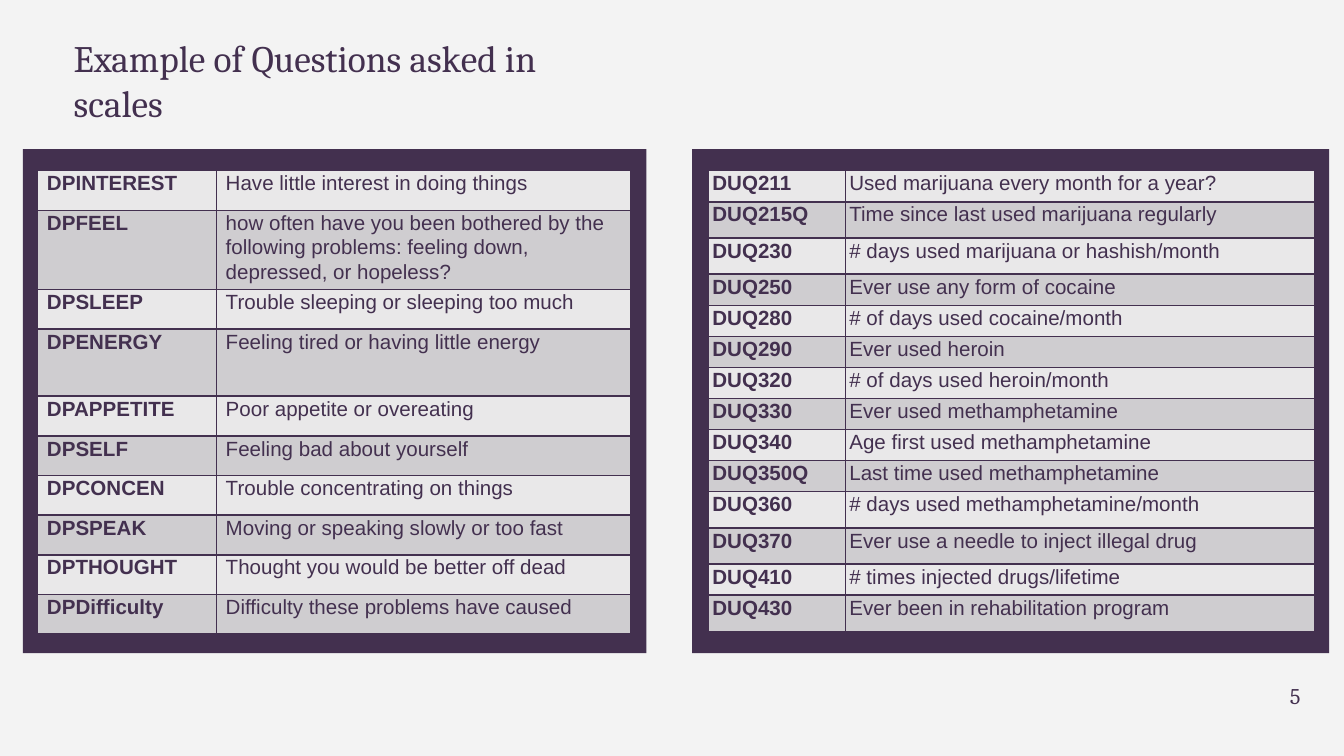
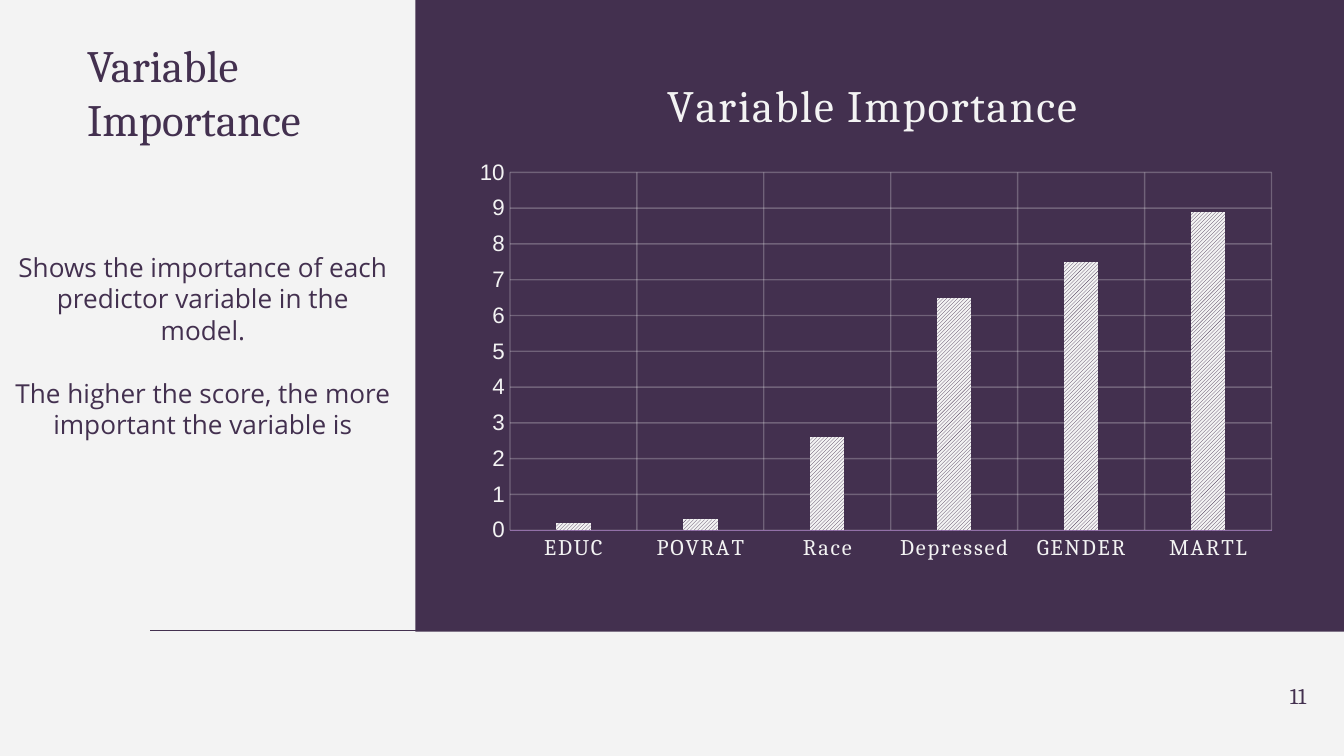
import pptx
import pptx.chart.data
import pptx.dml.color
import pptx.enum.chart
import pptx.enum.dml
import pptx.enum.shapes
import pptx.enum.text
import pptx.oxml
import pptx.oxml.ns
import pptx.util
from lxml import etree

Inches = pptx.util.Inches
Pt = pptx.util.Pt
qn = pptx.oxml.ns.qn

PLUM = "43304F"
PAPER = "F3F3F3"
AXIS_LINE = "9270A8"
ROW_FILLS = ("E9E8E9", "CFCDD0")
SERIF = "Cambria"
SANS = "Arial"
BODY = "Open Sans"

DEPRESSION_ITEMS = [
    ("DPINTEREST", "Have little interest in doing things"),
    ("DPFEEL", "how often have you been bothered by the following problems: "
               "feeling down, depressed, or hopeless?"),
    ("DPSLEEP", "Trouble sleeping or sleeping too much"),
    ("DPENERGY", "Feeling tired or having little energy"),
    ("DPAPPETITE", "Poor appetite or overeating"),
    ("DPSELF", "Feeling bad about yourself"),
    ("DPCONCEN", "Trouble concentrating on things"),
    ("DPSPEAK", "Moving or speaking slowly or too fast"),
    ("DPTHOUGHT", "Thought you would be better off dead"),
    ("DPDifficulty", "Difficulty these problems have caused"),
]
DRUG_ITEMS = [
    ("DUQ211", "Used marijuana every month for a year?"),
    ("DUQ215Q", "Time since last used marijuana regularly"),
    ("DUQ230", "# days used marijuana or hashish/month"),
    ("DUQ250", "Ever use any form of cocaine"),
    ("DUQ280", "# of days used cocaine/month"),
    ("DUQ290", "Ever used heroin"),
    ("DUQ320", "# of days used heroin/month"),
    ("DUQ330", "Ever used methamphetamine"),
    ("DUQ340", "Age first used methamphetamine"),
    ("DUQ350Q", "Last time used methamphetamine"),
    ("DUQ360", "# days used methamphetamine/month"),
    ("DUQ370", "Ever use a needle to inject illegal drug"),
    ("DUQ410", "# times injected drugs/lifetime"),
    ("DUQ430", "Ever been in rehabilitation program"),
]
IMPORTANCE = {"EDUC": 0.2, "POVRAT": 0.3, "Race": 2.6,
              "Depressed": 6.5, "GENDER": 7.5, "MARTL": 8.9}


def color(code):
    """Turn a hex string into a colour."""
    return pptx.dml.color.RGBColor.from_string(code)


def style_font(font, size, name, code, bold=False):
    """Set size, typeface, colour and weight of a font."""
    font.size, font.name, font.bold = Pt(size), name, bold
    font.color.rgb = color(code)


def write_text(frame, text, size=12, name=SERIF, code=PLUM, bold=False,
               align=None, spacing=None, gap=0):
    """Write one paragraph per line of text in a single format."""
    for index, line in enumerate(text.split("\n")):
        para = frame.add_paragraph() if index else frame.paragraphs[0]
        para.text = line
        para.alignment = align
        para.line_spacing = spacing
        if index:
            para.space_before = Pt(gap)
        for span in para.runs:
            style_font(span.font, size, name, code, bold)


def add_text(page, box, text, inset=0.1, **style):
    """Add a wrapping text box at (left, top, width, height)."""
    frame = page.shapes.add_textbox(*map(Inches, box)).text_frame
    frame.word_wrap = True
    frame.margin_left = frame.margin_right = Inches(0.1)
    frame.margin_top = frame.margin_bottom = Inches(inset)
    write_text(frame, text, **style)


def add_panel(page, box):
    """Add a plain dark rectangle."""
    panel = page.shapes.add_shape(
        pptx.enum.shapes.MSO_SHAPE.RECTANGLE, *map(Inches, box))
    panel.shadow.inherit = False
    panel.fill.solid()
    panel.fill.fore_color.rgb = color(PLUM)
    panel.line.fill.background()


def add_rule(page, left, right, top):
    """Add a thin horizontal line."""
    rule = page.shapes.add_connector(
        pptx.enum.shapes.MSO_CONNECTOR.STRAIGHT,
        Inches(left), Inches(top), Inches(right), Inches(top))
    rule.line.color.rgb = color(PLUM)
    rule.line.width = Pt(0.75)
    etree.SubElement(rule.element.spPr, qn("a:effectLst"))


def start_page(deck, title, box, size, number):
    """Add a page with its background, title and page number."""
    page = deck.slides.add_slide(deck.slide_layouts[6])
    page.background.fill.solid()
    page.background.fill.fore_color.rgb = color(PAPER)
    add_text(page, box, title, size=size)
    add_text(page, (9.5, 5.03, 0.37, 0.3), str(number), inset=0.05)
    return page


def border_cell(cell):
    """Draw a 1 pt line on all four sides of a cell."""
    properties = cell._tc.get_or_add_tcPr()
    for index, side in enumerate("LRTB"):
        line = etree.Element(qn("a:ln" + side), w=str(Pt(1)))
        fill = etree.SubElement(line, qn("a:solidFill"))
        etree.SubElement(fill, qn("a:srgbClr"), val=PLUM)
        properties.insert(index, line)


def add_items(page, box, items, widths, tall_rows, inset):
    """Add a table of codes and questions; rows not listed as tall share the rest."""
    table = page.shapes.add_table(len(items), 2, *map(Inches, box)).table
    table.first_row = table.horz_banding = False
    for column, width in zip(table.columns, widths):
        column.width = Inches(width)
    shared = (box[3] - sum(tall_rows.values())) / (len(items) - len(tall_rows))
    for row, item in enumerate(items):
        table.rows[row].height = Inches(tall_rows.get(row, shared))
        for column, text in enumerate(item):
            cell = table.cell(row, column)
            cell.margin_left = cell.margin_right = Inches(inset)
            cell.margin_top = cell.margin_bottom = 0
            cell.fill.solid()
            cell.fill.fore_color.rgb = color(ROW_FILLS[row % 2])
            border_cell(cell)
            write_text(cell.text_frame, text, size=11, name=SANS,
                       bold=column == 0, spacing=1.07)


def set_layout(parent, index, **places):
    """Give a chart part a manual layout in fractions of the chart."""
    for old in parent.findall(qn("c:layout")):
        parent.remove(old)
    layout = etree.Element(qn("c:layout"))
    manual = etree.SubElement(layout, qn("c:manualLayout"))
    if "w" in places:
        etree.SubElement(manual, qn("c:layoutTarget"), val="inner")
    for key in "xy":
        etree.SubElement(manual, qn(f"c:{key}Mode"), val="edge")
    for key, value in places.items():
        etree.SubElement(manual, qn("c:" + key), val=str(value))
    parent.insert(index, layout)


def style_axis(axis, font_name):
    """Give an axis light labels, faint gridlines and no tick marks."""
    axis.major_tick_mark = axis.minor_tick_mark = pptx.enum.chart.XL_TICK_MARK.NONE
    style_font(axis.tick_labels.font, 12, font_name, PAPER)
    axis.has_major_gridlines = True
    grid = axis.major_gridlines.format.line
    grid.width = Pt(0.75)
    grid.color.rgb = color(PAPER)


def fill_chart(chart):
    """Colour the chart area and its border."""
    area = pptx.oxml.parse_xml(
        f'<c:spPr {pptx.oxml.ns.nsdecls("c", "a")}>'
        f'<a:solidFill><a:srgbClr val="{PLUM}"/></a:solidFill>'
        f'<a:ln w="{Pt(0.75)}"><a:solidFill><a:srgbClr val="{PLUM}"/>'
        '</a:solidFill></a:ln></c:spPr>')
    chart.element.find(qn("c:txPr")).addprevious(area)


def add_importance_chart(page, box):
    """Add the column chart of variable importance."""
    data = pptx.chart.data.CategoryChartData()
    data.categories = list(IMPORTANCE)
    data.add_series("Series 1", list(IMPORTANCE.values()))
    chart = page.shapes.add_chart(
        pptx.enum.chart.XL_CHART_TYPE.COLUMN_CLUSTERED,
        *map(Inches, box), data).chart
    style_font(chart.font, 10, SANS, PLUM)
    fill_chart(chart)
    chart.has_legend = False
    chart.has_title = True
    write_text(chart.chart_title.text_frame, "Variable Importance",
               size=24, code=PAPER)

    style_axis(chart.category_axis, SERIF)
    chart.category_axis.format.line.color.rgb = color(AXIS_LINE)
    chart.category_axis.format.line.width = Pt(0.25)
    values = chart.value_axis
    style_axis(values, SANS)
    values.format.line.fill.background()
    values.minimum_scale, values.maximum_scale, values.major_unit = 0, 10, 1

    plot = chart.plots[0]
    plot.gap_width, plot.overlap = 269, -20
    plot.vary_by_categories = False
    hatch = plot.series[0].format.fill
    hatch.patterned()
    hatch.pattern = pptx.enum.dml.MSO_PATTERN.LIGHT_UPWARD_DIAGONAL
    hatch.fore_color.rgb = color(PLUM)
    hatch.back_color.rgb = color(PAPER)

    root = chart.element
    for shade in root.xpath(".//c:majorGridlines//a:srgbClr"):
        etree.SubElement(shade, qn("a:alpha"), val="25000")
    for letters in root.xpath(".//c:title//a:rPr | .//c:catAx//a:defRPr"):
        letters.set("spc", "100")
    set_layout(root.xpath(".//c:chart/c:title")[0], 1, x=0.24, y=0.03)
    set_layout(root.xpath(".//c:plotArea")[0], 0, x=0.06, y=0.23, w=0.92, h=0.69)


def build_questions(deck):
    """Build the page with the two question tables."""
    page = start_page(deck, "Example of Questions asked in scales",
                      (0.45, 0.16, 4.36, 1.03), 20, 5)
    add_panel(page, (0.17, 1.11, 4.64, 3.75))
    add_panel(page, (5.15, 1.11, 4.74, 3.75))
    add_items(page, (0.28, 1.27, 4.4, 3.4), DEPRESSION_ITEMS,
              (1.33, 3.08), {1: 0.54, 3: 0.5}, 0.07)
    add_items(page, (5.27, 1.27, 4.5, 3.43), DRUG_ITEMS, (1.02, 3.49),
              dict.fromkeys((1, 2, 10, 11, 13), 0.27), 0.03)


def build_importance(deck):
    """Build the page with the chart and its explanation."""
    page = start_page(deck, "Variable\vImportance", (0.55, 0.18, 2.2, 1.03), 24, 11)
    add_panel(page, (3.09, 0, 6.91, 4.7))
    add_rule(page, 1.12, 3.31, 4.69)
    add_text(page, (0, 1.77, 3.02, 2.83),
             "Shows the importance of each predictor variable in the model.\n"
             "The higher the score, the more important the variable is",
             size=14, name=BODY, gap=17, align=pptx.enum.text.PP_ALIGN.CENTER)
    add_importance_chart(page, (3.42, 0.39, 6.17, 3.87))


def main():
    """Build and save the deck."""
    deck = pptx.Presentation()
    deck.slide_width = Inches(10)
    deck.slide_height = deck.slide_width * 9 // 16
    build_questions(deck)
    build_importance(deck)
    deck.save("out.pptx")


if __name__ == "__main__":
    main()
